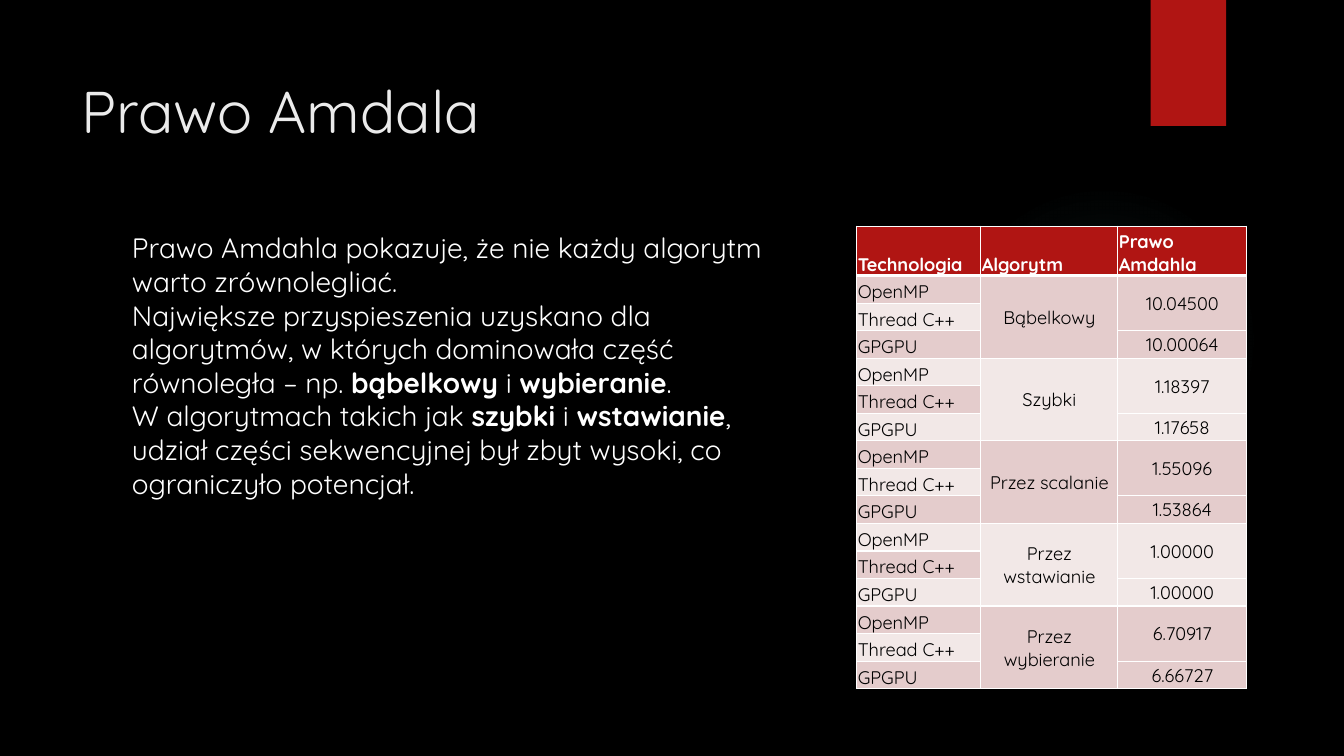
from dataclasses import dataclass

from lxml.etree import SubElement
from pptx import Presentation
from pptx.dml.color import RGBColor as RGB
from pptx.enum.shapes import MSO_SHAPE as SHAPE
from pptx.enum.text import MSO_ANCHOR as ANCHOR, PP_ALIGN as ALIGN
from pptx.oxml import parse_xml
from pptx.oxml.ns import nsdecls, qn
from pptx.util import Inches, Pt


@dataclass(frozen=True)
class Theme:
    font: str = "Quicksand"
    back: str = "000000"
    accent: str = "B01513"
    glow: str = "50B9C1"
    title: str = "EBEBEB"
    light: str = "FFFFFF"
    dark: str = "000000"
    bands: tuple = ("E4CCCC", "F2E8E7")
    title_size: int = 42
    body_size: int = 20
    table_size: int = 13


THEME = Theme()
UNIT = Inches(1 / 12)
COLUMNS, ROWS = 160, 90

GLOW_BOX = (112.92, 21.96, 37, 37)
TAB_BOX = (136.97, 0, 9, 15)
TITLE_BOX = (8.52, 8.28, 121.44, 16.08)
BODY_BOX = (14.52, 26.88, 78.24, 55.08)
TABLE_BOX = (102, 26.93, 46.44, 55.08)
TABLE_COLUMNS = (14.76, 16.32, 15.36)
HEADER_HEIGHT = 5.88

BODY = [
    [("Prawo Amdahla pokazuje, że nie każdy algorytm warto zrównolegliać.", False)],
    [("Największe przyspieszenia uzyskano dla algorytmów, w których "
      "dominowała część równoległa – np. ", False),
     ("bąbelkowy", True), (" i ", False), ("wybieranie", True), (".", False)],
    [("W algorytmach takich jak ", False), ("szybki", True), (" i ", False),
     ("wstawianie", True),
     (", udział części sekwencyjnej był zbyt wysoki, co ograniczyło potencjał.", False)],
]
HEADERS = ("Technologia", "Algorytm", "Prawo Amdahla")
TECHNOLOGIES = ("OpenMP", "Thread C++", "GPGPU")
RESULTS = [
    ("Bąbelkowy", "10.04500", "10.00064"),
    ("Szybki", "1.18397", "1.17658"),
    ("Przez scalanie", "1.55096", "1.53864"),
    ("Przez wstawianie", "1.00000", "1.00000"),
    ("Przez wybieranie", "6.70917", "6.66727"),
]


def grid(*cells):
    return [round(c * UNIT) for c in cells]


def add_run(p, text, size, color, bold=False):
    r = p.add_run()
    r.text = text
    r.font.name = THEME.font
    r.font.size = Pt(size)
    r.font.bold = bold
    r.font.color.rgb = RGB.from_string(color)


def add_plain_shape(slide, kind, box):
    sp = slide.shapes.add_shape(kind, *grid(*box))
    sp.shadow.inherit = False
    sp.line.fill.background()
    return sp


def add_glow(slide, box):
    sp = add_plain_shape(slide, SHAPE.OVAL, box)
    sp.fill.background()
    stops = "".join(
        f'<a:gs pos="{pos * 1000}"><a:srgbClr val="{THEME.glow}">'
        f'<a:alpha val="{alpha * 1000}"/></a:srgbClr></a:gs>'
        for pos, alpha in ((0, 7), (36, 6), (69, 0)))
    gradient = parse_xml(
        f'<a:gradFill {nsdecls("a")}><a:gsLst>{stops}</a:gsLst><a:path path="circle">'
        '<a:fillToRect l="50000" t="50000" r="50000" b="50000"/></a:path></a:gradFill>')
    props = sp.element.spPr
    props.replace(props.find(qn("a:noFill")), gradient)


def add_tab(slide, box):
    sp = add_plain_shape(slide, SHAPE.RECTANGLE, box)
    sp.fill.solid()
    sp.fill.fore_color.rgb = RGB.from_string(THEME.accent)


def add_text_box(slide, box):
    tf = slide.shapes.add_textbox(*grid(*box)).text_frame
    tf.word_wrap = True
    return tf.paragraphs[0]


def add_title(slide, box):
    add_run(add_text_box(slide, box), "Prawo Amdala", THEME.title_size, THEME.title)


def add_body(slide, box):
    p = add_text_box(slide, box)
    for i, sentence in enumerate(BODY):
        if i:
            p.add_line_break()
        for text, bold in sentence:
            add_run(p, text, THEME.body_size, THEME.light, bold)


def add_borders(cell, top=1, bottom=1):
    props = cell._tc.get_or_add_tcPr()
    for side, width in (("L", 1), ("R", 1), ("T", top), ("B", bottom)):
        ln = SubElement(props, qn(f"a:ln{side}"), w=str(Pt(width)))
        fill = SubElement(ln, qn("a:solidFill"))
        SubElement(fill, qn("a:srgbClr"), val=THEME.light)


def style_cell(cell, fill, top=1, bottom=1):
    add_borders(cell, top, bottom)
    cell.fill.solid()
    cell.fill.fore_color.rgb = RGB.from_string(fill)
    cell.margin_left = cell.margin_right = cell.margin_top = Inches(0.01)
    cell.margin_bottom = 0


def write_cell(cell, text, color=THEME.dark, bold=False, centered=False):
    cell.vertical_anchor = ANCHOR.MIDDLE if centered else ANCHOR.BOTTOM
    p = cell.text_frame.paragraphs[0]
    p.alignment = ALIGN.CENTER if centered else ALIGN.LEFT
    add_run(p, text, THEME.table_size, color, bold)


def add_results_table(slide, box):
    group = len(TECHNOLOGIES)
    count = group * len(RESULTS)
    table = slide.shapes.add_table(count + 1, len(HEADERS), *grid(*box)).table
    for column, width in zip(table.columns, grid(*TABLE_COLUMNS)):
        column.width = width
    row_height = (box[3] - HEADER_HEIGHT) / count
    for row, height in zip(table.rows, grid(HEADER_HEIGHT, *[row_height] * count)):
        row.height = height

    for c, header in enumerate(HEADERS):
        style_cell(table.cell(0, c), THEME.accent, bottom=3)
        write_cell(table.cell(0, c), header, THEME.light, bold=True)

    for g, (algorithm, cpu, gpu) in enumerate(RESULTS):
        first = 1 + g * group
        last = first + group - 1
        for row, technology in enumerate(TECHNOLOGIES, first):
            top = 3 if row == 1 else 1
            style_cell(table.cell(row, 0), THEME.bands[(row - 1) % 2], top)
            write_cell(table.cell(row, 0), technology)
            for c in (1, 2):
                style_cell(table.cell(row, c), THEME.bands[g % 2], top)
        table.cell(first, 1).merge(table.cell(last, 1))
        table.cell(first, 2).merge(table.cell(last - 1, 2))
        for row, c, text in ((first, 1, algorithm), (first, 2, cpu), (last, 2, gpu)):
            write_cell(table.cell(row, c), text, centered=True)


def add_amdahl_slide(prs):
    slide = prs.slides.add_slide(prs.slide_layouts[6])
    slide.background.fill.solid()
    slide.background.fill.fore_color.rgb = RGB.from_string(THEME.back)
    add_glow(slide, GLOW_BOX)
    add_tab(slide, TAB_BOX)
    add_title(slide, TITLE_BOX)
    add_body(slide, BODY_BOX)
    add_results_table(slide, TABLE_BOX)


def main():
    prs = Presentation()
    prs.slide_width, prs.slide_height = grid(COLUMNS, ROWS)
    add_amdahl_slide(prs)
    prs.save("out.pptx")


if __name__ == "__main__":
    main()
